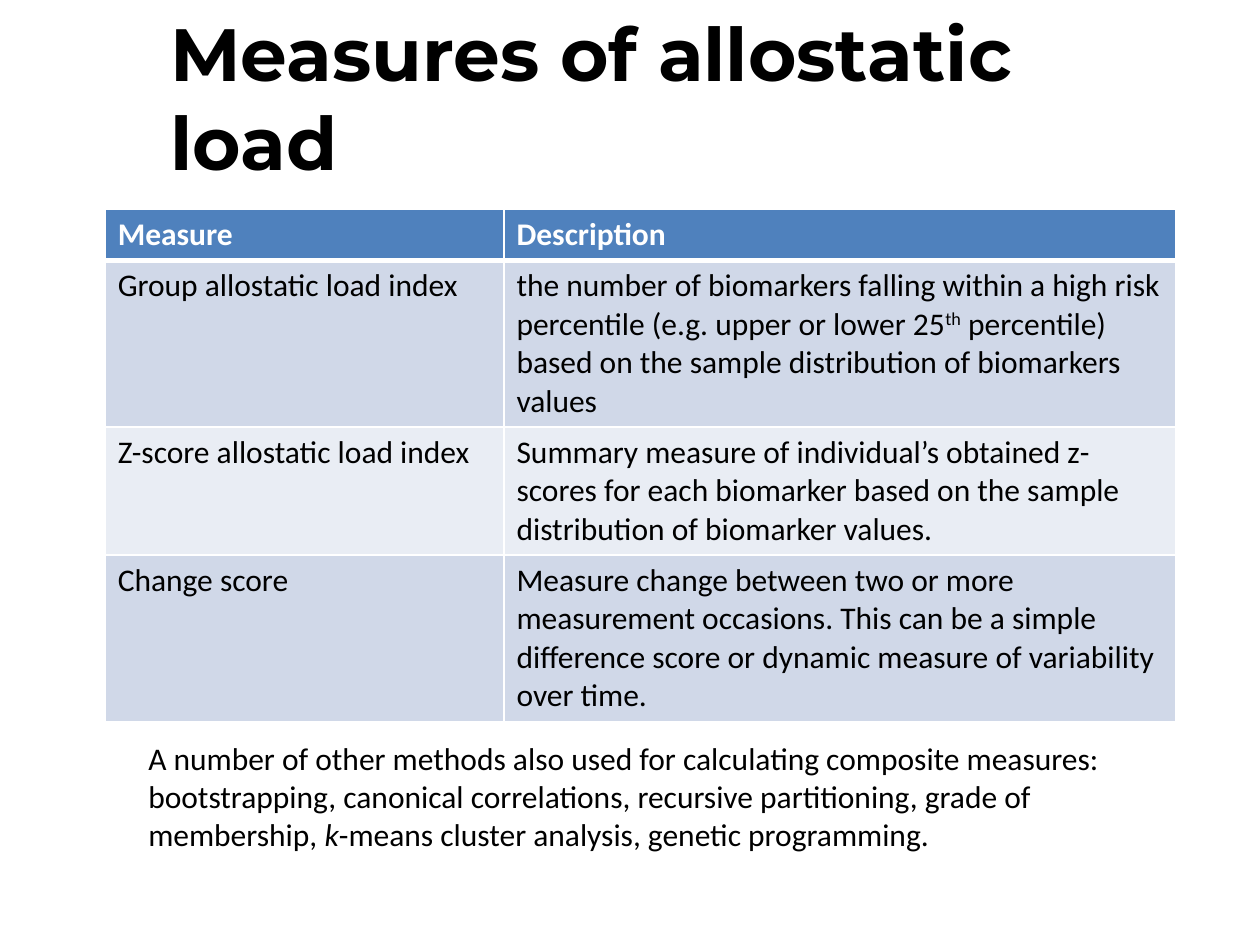
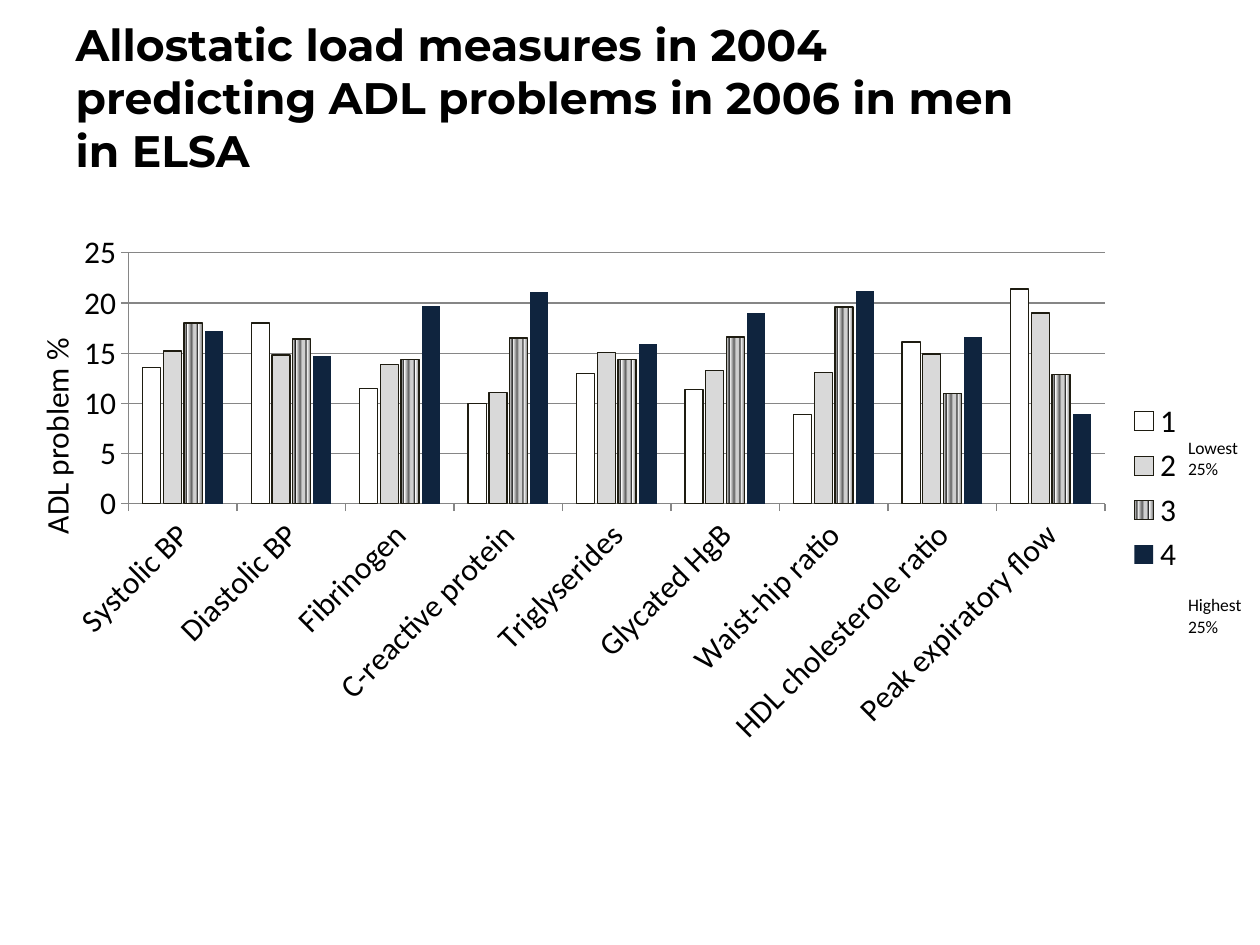
import pptx
import pptx.chart.data
import pptx.dml.color
import pptx.enum.chart
import pptx.enum.text
import pptx.oxml
import pptx.oxml.ns
import pptx.util
from pptx.util import Cm, Pt

COLORS = {
    "text": "000000", "white": "FFFFFF", "header": "4F81BD",
    "band_dark": "D0D8E8", "band_light": "E9EDF4",
    "outline": "1E1C11", "grid": "868686",
    "light_grey": "D9D9D9", "navy": "0F243E",
}
TITLE_FONT, BODY_FONT = "Montserrat", "Calibri"
STRIPES = [(0, "FFFFFF"), (16, "1F1F1F"), (18, "FFFFFF"), (42, "636363"), (53, "CFCFCF"),
           (66, "CFCFCF"), (76, "1F1F1F"), (79, "FFFFFF"), (100, "7F7F7F")]

MEASURES = [
    ("Measure", "Description"),
    ("Group allostatic load index",
     ["the number of biomarkers falling within a high risk percentile (e.g. upper or lower 25",
      ("th", "super"),
      " percentile) based on the sample distribution of biomarkers values"]),
    ("Z-score allostatic load index",
     "Summary measure of individual’s obtained z-scores for each biomarker "
     "based on the sample distribution of biomarker values."),
    ("Change score",
     "Measure change between two or more measurement occasions. This can be a simple "
     "difference score or dynamic measure of variability over time."),
]
ROW_HEIGHTS = [1.03, 3.35, 2.58, 3.35]

BIOMARKERS = ["Systolic BP", "Diastolic BP", "Fibrinogen", "C-reactive protein",
              "Triglyserides", "Glycated HgB", "Waist-hip ratio",
              "HDL cholesterole ratio", "Peak expiratory flow"]
QUARTILES = {
    "1": [13.6, 18, 11.5, 10, 13, 11.4, 8.9, 16.1, 21.4],
    "2": [15.2, 14.8, 13.9, 11.1, 15.1, 13.3, 13.1, 14.9, 19],
    "3": [18, 16.4, 14.4, 16.5, 14.4, 16.6, 19.6, 11, 12.9],
    "4": [17.2, 14.7, 19.7, 21.1, 15.9, 19, 21.2, 16.6, 8.9],
}


def rgb(name):
    return pptx.dml.color.RGBColor.from_string(COLORS[name])


def xml(tag, body="", attrs=""):
    prefix = tag.split(":")[0]
    ns = pptx.oxml.ns.nsdecls(*dict.fromkeys([prefix, "a"]))
    return pptx.oxml.parse_xml(f"<{tag} {ns} {attrs}>{body}</{tag}>")


def write_text(tf, text, size=18, font=BODY_FONT, color="text", bold=False):
    """Fill the first paragraph; text is a string or a list of strings and (string, style)."""
    p = tf.paragraphs[0]
    p.alignment = pptx.enum.text.PP_ALIGN.LEFT
    for part in [text] if isinstance(text, str) else text:
        words, style = (part, None) if isinstance(part, str) else part
        r = p.add_run()
        r.text = words
        r.font.size, r.font.name, r.font.bold = Pt(size), font, bold
        r.font.color.rgb = rgb(color)
        if style == "italic":
            r.font.italic = True
        elif style == "super":
            r.font._element.set("baseline", "30000")


def add_titled_slide(prs, title, size, left, top, width, height):
    s = prs.slides.add_slide(prs.slide_layouts[5])
    sp = s.shapes.title
    sp.left, sp.top, sp.width, sp.height = Cm(left), Cm(top), Cm(width), Cm(height)
    tf = sp.text_frame
    tf.word_wrap = True
    tf.auto_size = pptx.enum.text.MSO_AUTO_SIZE.NONE
    tf.vertical_anchor = pptx.enum.text.MSO_ANCHOR.MIDDLE
    write_text(tf, title, size=size, font=TITLE_FONT, bold=True)
    return s


def add_text(s, text, left, top, width, height, rotation=0, **style):
    sp = s.shapes.add_textbox(Cm(left), Cm(top), Cm(width), Cm(height))
    sp.rotation = rotation
    sp.text_frame.word_wrap = True
    sp.text_frame.auto_size = pptx.enum.text.MSO_AUTO_SIZE.SHAPE_TO_FIT_TEXT
    write_text(sp.text_frame, text, **style)


def set_borders(cell, bottom):
    """White 1 pt borders, with the bottom one as wide as given in points."""
    tcPr = cell._tc.get_or_add_tcPr()
    line = f'<a:solidFill><a:srgbClr val="{COLORS["white"]}"/></a:solidFill>'
    for i, side in enumerate("LRTB"):
        width = Pt(bottom if side == "B" else 1)
        tcPr.insert(i, xml(f"a:ln{side}", line, f'w="{width}"'))


def add_measures_table(s, left, top, widths):
    frame = s.shapes.add_table(len(MEASURES), len(widths), Cm(left), Cm(top),
                               Cm(sum(widths)), Cm(sum(ROW_HEIGHTS)))
    table = frame.table
    for col, width in zip(table.columns, widths):
        col.width = Cm(width)
    for i, (row, height) in enumerate(zip(table.rows, ROW_HEIGHTS)):
        row.height = Cm(height)
        header = i == 0
        fill = "header" if header else ("band_light", "band_dark")[i % 2]
        for cell, text in zip(row.cells, MEASURES[i]):
            cell.fill.solid()
            cell.fill.fore_color.rgb = rgb(fill)
            write_text(cell.text_frame, text, bold=header,
                       color="white" if header else "text")
            # The edge under the header belongs to two cells
            set_borders(cell, bottom=3 if header else 1)


def fill_stripes(fill):
    fill.gradient()
    fill.gradient_angle = 0
    stops = "".join(f'<a:gs pos="{pos * 1000}"><a:srgbClr val="{color}"/></a:gs>'
                    for pos, color in STRIPES)
    old = fill._fill._gradFill.gsLst
    old.getparent().replace(old, xml("a:gsLst", stops))


def format_axis(axis):
    axis.major_tick_mark = pptx.enum.chart.XL_TICK_MARK.OUTSIDE
    axis.minor_tick_mark = pptx.enum.chart.XL_TICK_MARK.NONE
    axis.format.line.color.rgb = rgb("grid")
    axis.tick_labels.font.size = Pt(18)


def set_plot_layout(chart, **fractions):
    """Place the inner plot area, in fractions of the chart."""
    modes = '<c:layoutTarget val="inner"/><c:xMode val="edge"/><c:yMode val="edge"/>'
    sizes = "".join(f'<c:{key} val="{val}"/>' for key, val in fractions.items())
    layout = xml("c:layout", f"<c:manualLayout>{modes}{sizes}</c:manualLayout>")
    area = chart._chartSpace.chart.plotArea
    for old in area.findall(pptx.oxml.ns.qn("c:layout")):
        area.remove(old)
    area.insert(0, layout)


def add_quartile_chart(s, left, top, width, height):
    data = pptx.chart.data.CategoryChartData()
    data.categories = BIOMARKERS
    for name, values in QUARTILES.items():
        data.add_series(name, values)
    chart = s.shapes.add_chart(pptx.enum.chart.XL_CHART_TYPE.COLUMN_CLUSTERED,
                               Cm(left), Cm(top), Cm(width), Cm(height), data).chart
    chart.font.size, chart.font.name = Pt(18), BODY_FONT
    chart.font.color.rgb = rgb("text")
    chart.has_title = False
    chart.has_legend = True
    chart.legend.position = pptx.enum.chart.XL_LEGEND_POSITION.RIGHT
    chart.legend.include_in_layout = False
    set_plot_layout(chart, x=0.07, y=0.06, w=0.85, h=0.47)

    for axis in (chart.category_axis, chart.value_axis):
        format_axis(axis)
    chart.category_axis.tick_labels.font._element.getparent().getparent().getparent().find(
        pptx.oxml.ns.qn("a:bodyPr")).set("rot", "-2700000")
    value_axis = chart.value_axis
    value_axis.minimum_scale, value_axis.maximum_scale, value_axis.major_unit = 0, 25, 5
    value_axis.major_gridlines.format.line.color.rgb = rgb("grid")

    plot = chart.plots[0]
    plot.gap_width, plot.overlap, plot.vary_by_categories = 157, -15, False
    for series, color in zip(plot.series, ("white", "light_grey", None, "navy")):
        fmt = series.format
        series.invert_if_negative = False
        if color:
            fmt.fill.solid()
            fmt.fill.fore_color.rgb = rgb(color)
        else:
            fill_stripes(fmt.fill)
        if color == "navy":
            fmt.line.fill.background()
        else:
            fmt.line.color.rgb = rgb("outline")
            fmt.line.width = Pt(0.75)


def main():
    prs = pptx.Presentation()
    prs.slide_width, prs.slide_height = Cm(25.4), Cm(19.05)

    s = add_titled_slide(prs, "Measures of allostatic load", 42.3, 3.18, 0.84, 19.76, 2.2)
    add_measures_table(s, 2.12, 4.22, [8.04, 13.55])
    add_text(s, ["A number of other methods also used for calculating composite measures: "
                 "bootstrapping, canonical correlations, recursive partitioning, "
                 "grade of membership, ", ("k", "italic"),
                 "-means cluster analysis, genetic programming."], 2.74, 14.78, 21.59, 2.57)

    s = add_titled_slide(prs, "Allostatic load measures in 2004 predicting ADL problems "
                         "in 2006 in men in ELSA", 25.2, 1.27, 0.76, 19.76, 2.4)
    add_quartile_chart(s, 0.97, 4.45, 23.16, 10.77)
    add_text(s, "ADL problem %", -1.7, 7.62, 5.72, 1.07, rotation=270)
    for label, top in (("Lowest 25%", 8.69), ("Highest 25%", 11.86)):
        add_text(s, label, 23.7, top, 1.7, 1.12, size=10)

    prs.save("out.pptx")


if __name__ == "__main__":
    main()
